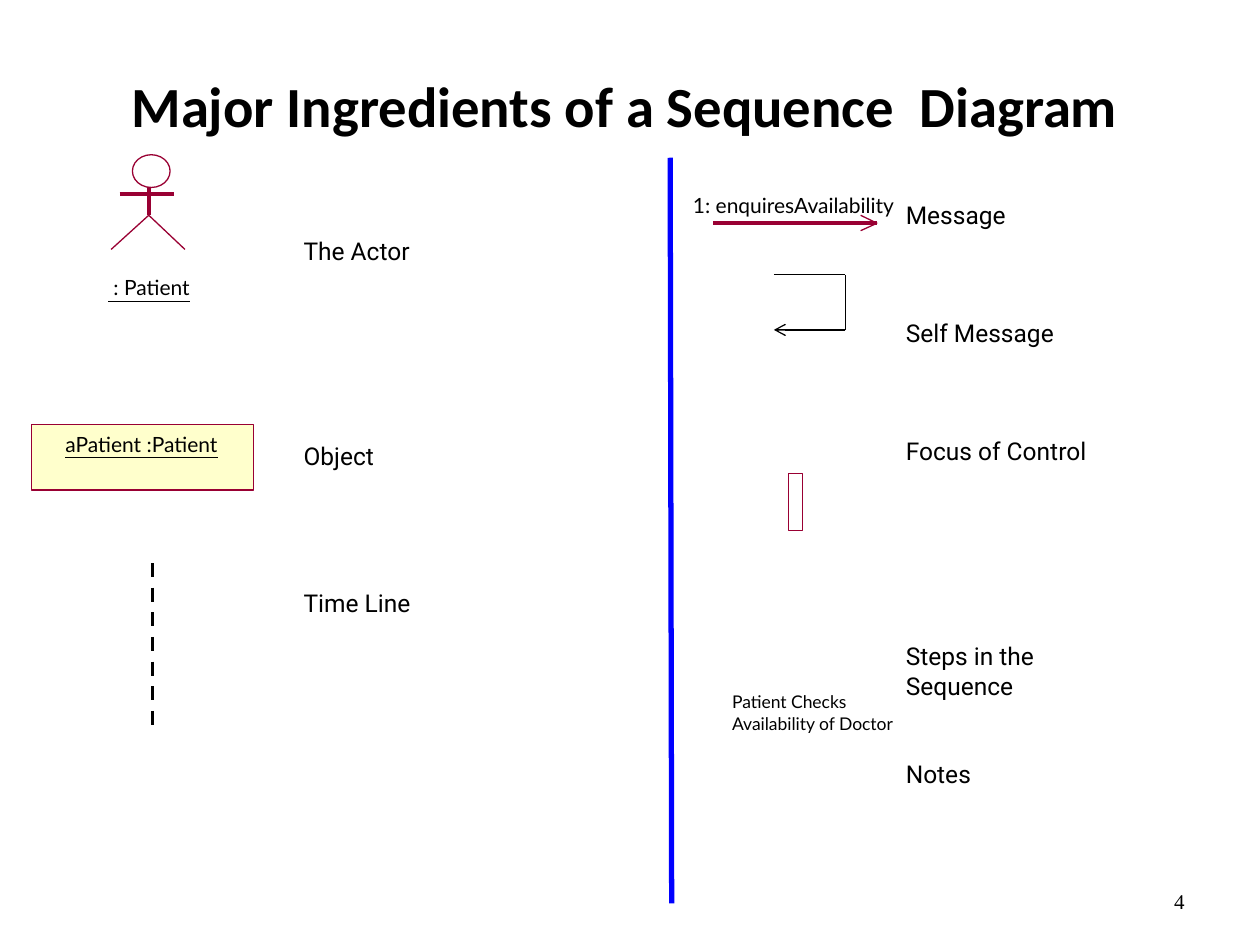
import pptx
import pptx.dml.color
import pptx.enum.dml
import pptx.enum.shapes
import pptx.enum.text
import pptx.oxml
import pptx.oxml.ns
import pptx.util

Cm = pptx.util.Cm
Pt = pptx.util.Pt
RGBColor = pptx.dml.color.RGBColor
Align = pptx.enum.text.PP_ALIGN
Anchor = pptx.enum.text.MSO_ANCHOR
Shape = pptx.enum.shapes.MSO_SHAPE

BLACK = RGBColor(0, 0, 0)
WHITE = RGBColor(255, 255, 255)
BLUE = RGBColor(0, 0, 255)
MAROON = RGBColor(0x99, 0x00, 0x33)
CREAM = RGBColor(0xFF, 0xFF, 0xCC)
LABEL_LINE = 16.8

presentation = pptx.Presentation()
presentation.slide_width = Cm(25.4)
presentation.slide_height = Cm(19.05)
slide = presentation.slides.add_slide(presentation.slide_layouts[6])


def add_text(box, lines, font, align=Align.LEFT, anchor=Anchor.TOP):
    frame = slide.shapes.add_textbox(*map(Cm, box)).text_frame
    settings = {"word_wrap": True, "vertical_anchor": anchor, "margin_left": 0,
                "margin_right": 0, "margin_top": 0, "margin_bottom": 0}
    for name, value in settings.items():
        setattr(frame, name, value)
    for index, (text, lines_before) in enumerate(lines):
        paragraph = frame.add_paragraph() if index else frame.paragraphs[0]
        paragraph.alignment = align
        paragraph.space_before = Pt(lines_before * LABEL_LINE)
        run = paragraph.add_run()
        run.text = text
        run.font.color.rgb = BLACK
        for name, value in font.items():
            setattr(run.font, name, value)


def add_line(start, end, color, width):
    connector = slide.shapes.add_connector(
        pptx.enum.shapes.MSO_CONNECTOR.STRAIGHT, *map(Cm, start + end))
    connector.line.color.rgb = color
    connector.line.width = Pt(width)
    pptx.oxml.ns.qn("a:effectLst")
    properties = connector.line._get_or_add_ln().getparent()
    properties.append(properties.makeelement(pptx.oxml.ns.qn("a:effectLst"), {}))
    return connector


title_font = {"name": "Calibri", "size": Pt(32.4), "bold": True}
number_font = {"name": "Times New Roman", "size": Pt(12)}
name_font = {"name": "Lato", "size": Pt(12), "underline": True}
message_font = {"name": "Lato", "size": Pt(12)}
note_font = {"name": "Lato", "size": Pt(10)}
label_font = {"name": "Roboto", "size": Pt(14)}

add_text((0.43, 1.27, 24.33, 1.7), [("Major Ingredients of a Sequence  Diagram", 0)],
         title_font, Align.CENTER, Anchor.MIDDLE)
add_text((18.21, 17.65, 5.67, 1.02), [("4", 0)], number_font, Align.RIGHT, Anchor.MIDDLE)
add_line((13.51, 3.18), (13.54, 18.21), BLUE, 3)

for kind, box, fill in [
    (Shape.OVAL, (2.67, 3.12, 0.76, 0.66), None),
    (Shape.RECTANGLE, (15.9, 9.55, 0.28, 1.14), WHITE),
    (Shape.RECTANGLE, (0.64, 8.56, 4.47, 1.32), CREAM),
]:
    shape = slide.shapes.add_shape(kind, *map(Cm, box))
    shape.shadow.inherit = False
    shape.line.color.rgb = MAROON
    shape.line.width = Pt(0)
    if fill is None:
        shape.fill.background()
    else:
        shape.fill.solid()
        shape.fill.fore_color.rgb = fill

builder = slide.shapes.build_freeform(Cm(2.24), Cm(5.03))
builder.add_line_segments([(Cm(3), Cm(4.34)), (Cm(3.73), Cm(5.03))], close=False)
legs = builder.convert_to_shape()
legs.shadow.inherit = False
legs.fill.background()
legs.line.color.rgb = MAROON
legs.line.width = Pt(0)

message_tip = (17.68, 4.5)
for start, end, width in [
    ((3, 3.76), (3, 4.34), 0),
    ((2.41, 3.91), (3.51, 3.91), 0),
    ((14.38, 4.5), message_tip, 0),
    (message_tip, (17.35, 4.65), 0.75),
    (message_tip, (17.35, 4.34), 0.75),
]:
    add_line(start, end, MAROON, width)

time_line = add_line((3.07, 11.35), (3.07, 14.63), BLACK, 0)
time_line.line.dash_style = pptx.enum.dml.MSO_LINE.DASH

corners = [(15.6, 5.54), (17.04, 5.54), (17.04, 6.65), (15.6, 6.65)]
for start, end in zip(corners, corners[1:]):
    self_message = add_line(start, end, BLACK, 0.75)
outline = self_message.line._get_or_add_ln()
outline.append(outline.makeelement(pptx.oxml.ns.qn("a:tailEnd"), {"type": "arrow"}))

add_text((2.18, 5.54, 1.88, 0.56), [(" : Patient", 0)], name_font)
add_text((1.32, 8.69, 3.28, 0.56), [("aPatient :Patient", 0)], name_font)
add_text((13.97, 3.89, 4.29, 0.56), [("1: enquiresAvailability", 0)], message_font)
add_text((14.76, 13.94, 3.4, 0.94),
         [("Patient Checks", 0), ("Availability of Doctor", 0)], note_font)
add_text((6.12, 4.75, 3.02, 8.59),
         [("The Actor", 0), ("Object", 6), ("Time Line", 4)], label_font)
add_text((18.26, 4.04, 5.23, 13.2),
         [("Message", 0), ("Self Message", 3), ("Focus of Control", 3),
          ("Steps in the", 6), ("Sequence", 0), ("Notes", 2)], label_font)

presentation.save("out.pptx")
